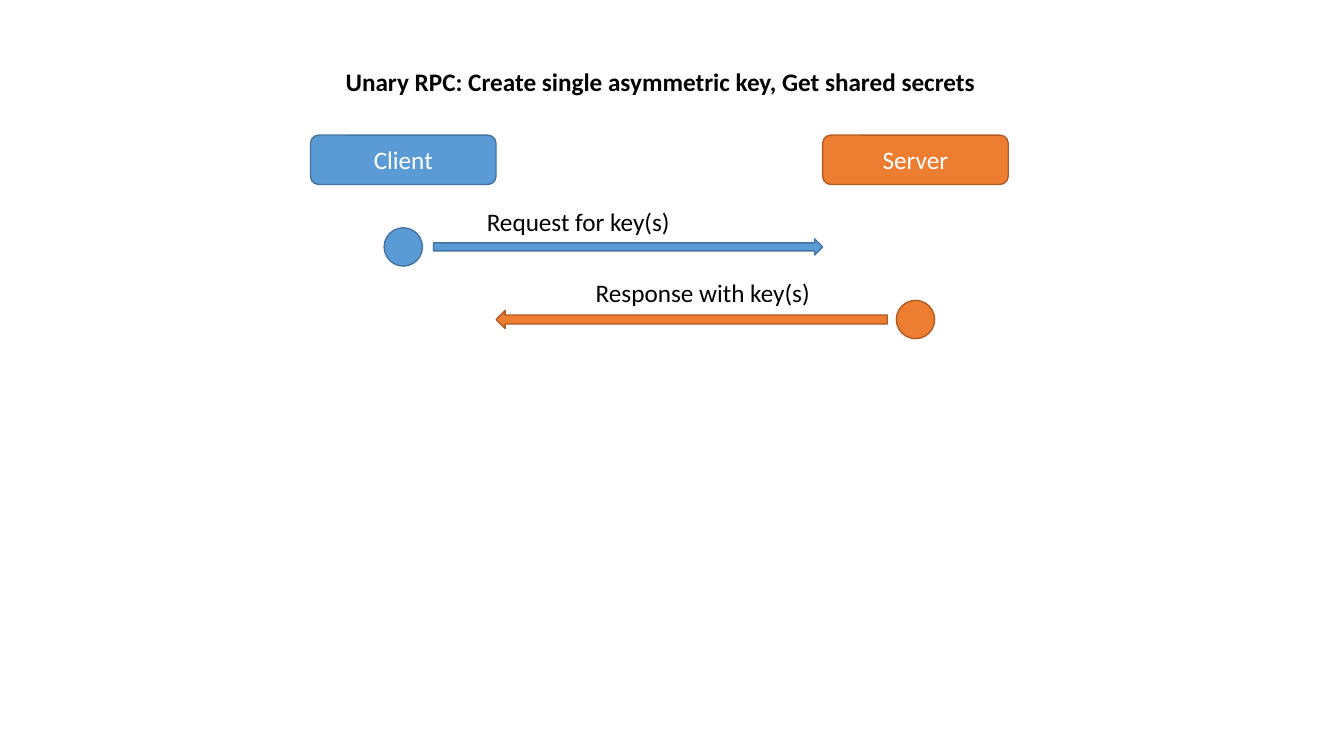
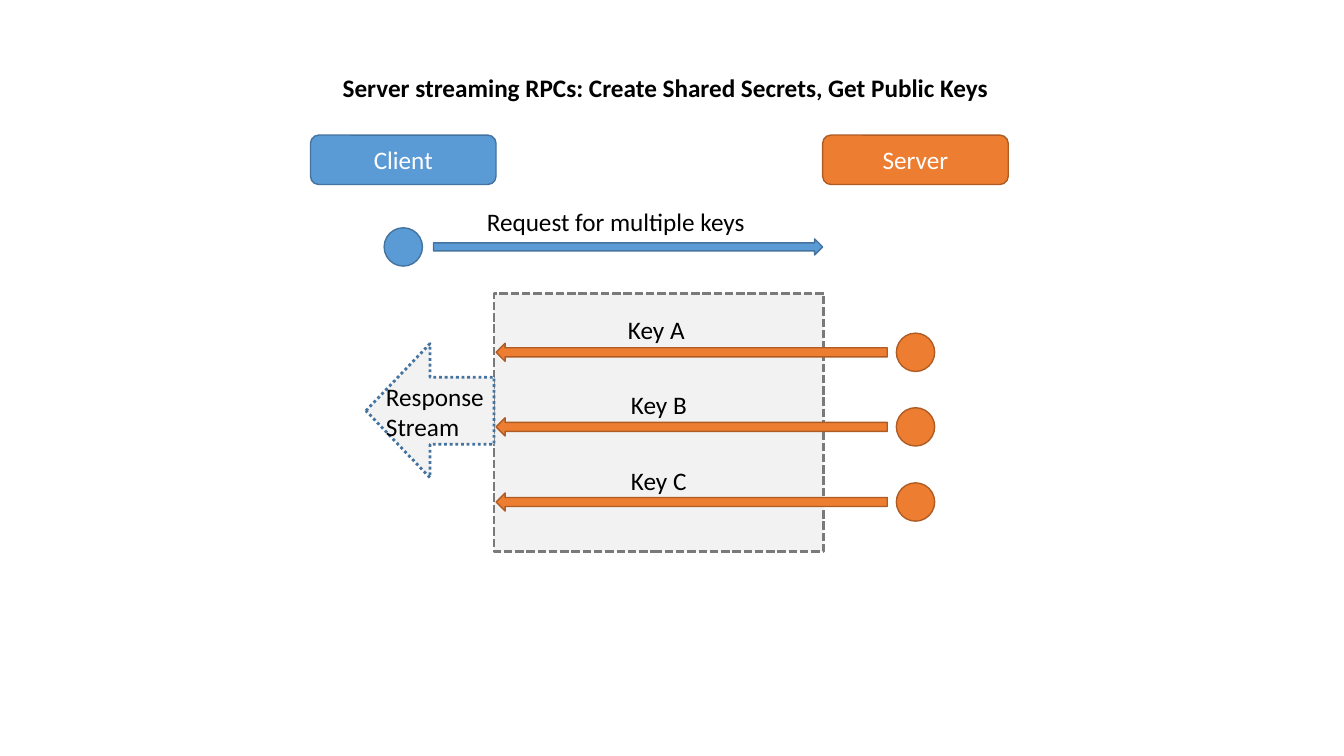
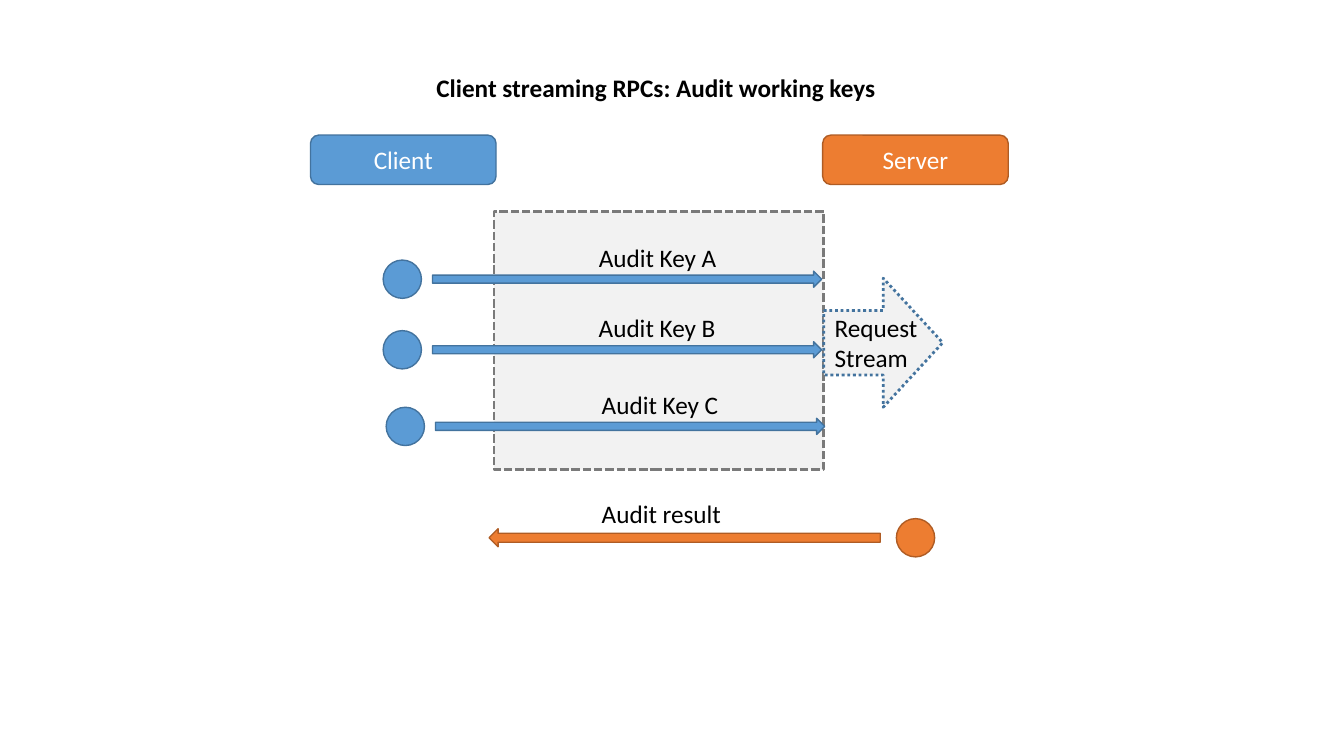
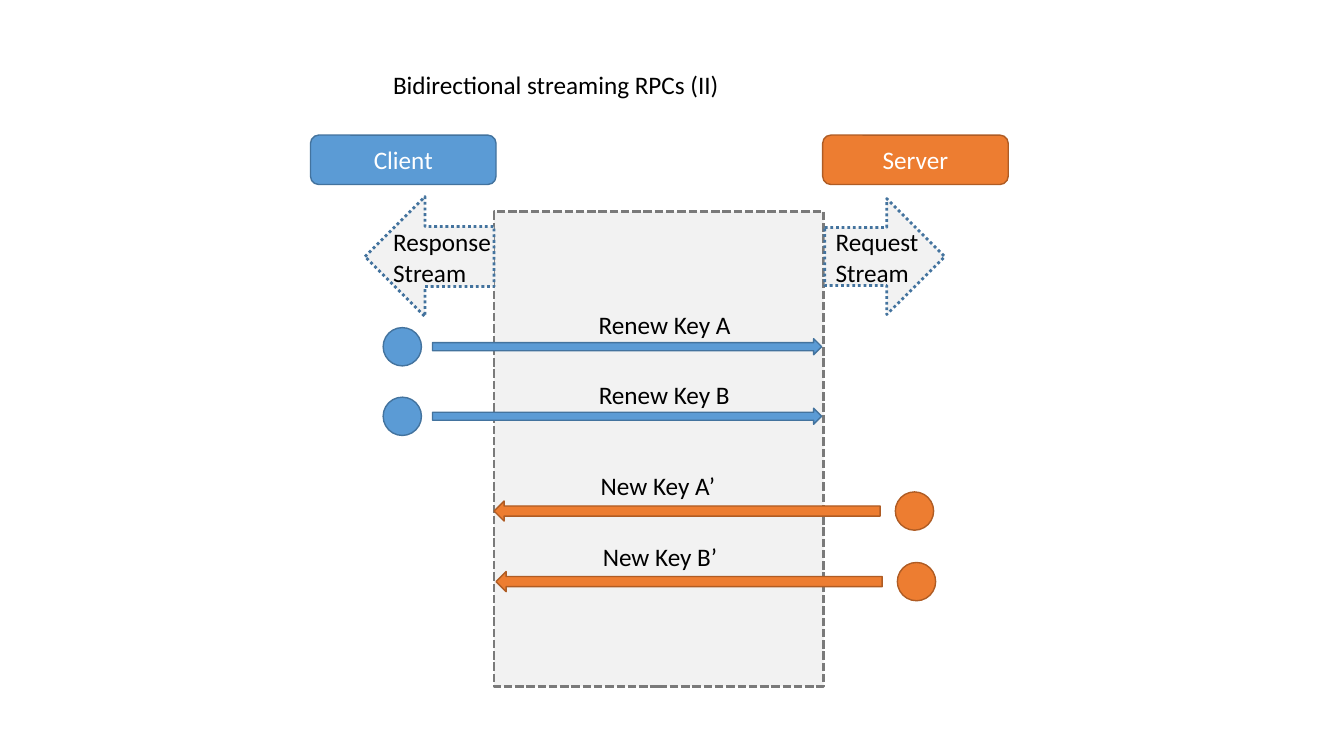
from dataclasses import dataclass
from typing import Optional

from pptx import Presentation
from pptx import util as u
from pptx.dml.color import RGBColor
from pptx.enum import dml, shapes, text

COLUMNS, ROWS = 133.3, 75
CELL = u.Inches(0.1)
FONT, FONT_SIZE = "Calibri", 18
BLACK, WHITE, PALE_GREY, GREY = "000000", "FFFFFF", "F2F2F2", "7A7A7A"
BLUE, DARK_BLUE, ORANGE, DARK_ORANGE = "5B9BD5", "43739E", "ED7D31", "AF5C24"
DOT_SIZE = 3.8
Kind = shapes.MSO_SHAPE
Dash = dml.MSO_LINE


@dataclass(frozen=True)
class Box:
    left: float
    top: float
    width: float
    height: float


@dataclass(frozen=True)
class Party:
    name: str
    left: float
    fill: str
    outline: str
    arrow: Kind


@dataclass(frozen=True)
class Route:
    sender: Party
    dot_left: float
    arrow_left: float
    length: float
    thickness: float


@dataclass(frozen=True)
class Label:
    wording: str
    left: float
    top: float
    width: float
    bold: bool = False


@dataclass(frozen=True)
class Message:
    route: Route
    middle: float
    caption: Label
    shift: float = 0


@dataclass(frozen=True)
class Stream:
    arrow: Kind
    box: Box
    caption: Label


@dataclass(frozen=True)
class Scene:
    title: Label
    messages: tuple[Message, ...]
    channel: Optional[Box] = None
    streams: tuple[Stream, ...] = ()


CLIENT = Party("Client", 30.8, BLUE, DARK_BLUE, Kind.RIGHT_ARROW)
SERVER = Party("Server", 81.6, ORANGE, DARK_ORANGE, Kind.LEFT_ARROW)
REQUEST = Route(CLIENT, 38.1, 43, 38.6, 1.6)
RESPONSE = Route(SERVER, 88.9, 49.2, 38.8, 1.8)
RESULT = Route(SERVER, 88.9, 48.5, 38.8, 1.8)
RENEWAL = Route(SERVER, 88.8, 49, 38.3, 2)

SCENES = (
    Scene(
        Label("Unary RPC: Create single asymmetric key, Get shared secrets", 33.3, 6.1, 65, True),
        (
            Message(REQUEST, 24.5, Label("Request for key(s)", 47.3, 20, 20.4)),
            Message(RESPONSE, 31.7, Label("Response with key(s)", 58.1, 27, 23.5)),
        ),
    ),
    Scene(
        Label("Server streaming RPCs: Create Shared Secrets, Get Public Keys", 33, 6.7, 66.6, True),
        (
            Message(REQUEST, 24.5, Label("Request for multiple keys", 47.3, 20, 27.9)),
            Message(RESPONSE, 34.95, Label("Key A", 61.3, 30.7, 7.7)),
            Message(RESPONSE, 42.35, Label("Key B", 61.6, 38.1, 7.6)),
            Message(RESPONSE, 49.8, Label("Key C", 61.6, 45.7, 7.6)),
        ),
        Box(49, 29.1, 32.7, 25.6),
        (
            Stream(Kind.LEFT_ARROW, Box(36.3, 34.1, 12.7, 13.3),
                   Label("Response\nStream", 37.3, 37.3, 11.8)),
        ),
    ),
    Scene(
        Label("Client streaming RPCs: Audit working keys", 42.3, 6.7, 45.9, True),
        (
            Message(REQUEST, 27.7, Label("Audit Key A", 58.4, 23.5, 13.8), -0.1),
            Message(REQUEST, 34.7, Label("Audit Key B", 58.4, 30.5, 13.7), -0.1),
            Message(REQUEST, 42.3, Label("Audit Key C", 58.7, 38.1, 13.7), 0.2),
            Message(RESULT, 53.35, Label("Audit result", 58.7, 48.9, 14)),
        ),
        Box(49, 21, 32.7, 25.6),
        (
            Stream(Kind.RIGHT_ARROW, Box(81.7, 27.6, 11.8, 12.8),
                   Label("Request\nStream", 81.8, 30.5, 10.3)),
        ),
    ),
    Scene(
        Label("Bidirectional streaming RPCs (II)", 38, 6.4, 34.7),
        (
            Message(REQUEST, 34.4, Label("Renew Key A", 58.4, 30.2, 15.3), -0.1),
            Message(REQUEST, 41.3, Label("Renew Key B", 58.4, 37.1, 15.2), -0.1),
            Message(RENEWAL, 50.7, Label("New Key A’", 58.6, 46.2, 13.5)),
            Message(RENEWAL, 57.7, Label("New Key B’", 58.8, 53.2, 13.5), 0.2),
        ),
        Box(49, 21, 32.7, 47.1),
        (
            Stream(Kind.RIGHT_ARROW, Box(81.8, 19.7, 11.9, 11.5),
                   Label("Request\nStream", 81.9, 22, 10.3)),
            Stream(Kind.LEFT_ARROW, Box(36.2, 19.5, 12.8, 11.9),
                   Label("Response\nStream", 38, 22, 11.8)),
        ),
    ),
)


def colour(value: str) -> RGBColor:
    return RGBColor.from_string(value)


def place(box: Box) -> tuple[int, ...]:
    return tuple(round(cells * CELL) for cells in (box.left, box.top, box.width, box.height))


def write(frame, wording: str, ink: str, bold: bool = False) -> None:
    frame.text = wording
    for paragraph in frame.paragraphs:
        paragraph.font.name = FONT
        paragraph.font.size = u.Pt(FONT_SIZE)
        paragraph.font.bold = bold
        paragraph.font.color.rgb = colour(ink)


def draw_shape(slide, kind: Kind, box: Box, fill: str, outline: str,
               weight: float = 1, dash: Optional[Dash] = None):
    shape = slide.shapes.add_shape(kind, *place(box))
    shape.shadow.inherit = False
    shape.fill.solid()
    shape.fill.fore_color.rgb = colour(fill)
    shape.line.color.rgb = colour(outline)
    shape.line.width = u.Pt(weight)
    if dash is not None:
        shape.line.dash_style = dash
    return shape


def draw_label(slide, label: Label) -> None:
    height = 7.1 if "\n" in label.wording else 4
    box = Box(label.left, label.top, label.width, height)
    frame = slide.shapes.add_textbox(*place(box)).text_frame
    frame.word_wrap = False
    frame.auto_size = text.MSO_AUTO_SIZE.SHAPE_TO_FIT_TEXT
    write(frame, label.wording, BLACK, label.bold)


def draw_party(slide, party: Party) -> None:
    header = draw_shape(slide, Kind.ROUNDED_RECTANGLE, Box(party.left, 13.4, 18.4, 4.9),
                        party.fill, party.outline)
    frame = header.text_frame
    frame.vertical_anchor = text.MSO_ANCHOR.MIDDLE
    write(frame, party.name, WHITE)
    frame.paragraphs[0].alignment = text.PP_ALIGN.CENTER


def draw_message(slide, message: Message) -> None:
    route = message.route
    sender = route.sender
    dot = Box(route.dot_left + message.shift, message.middle - DOT_SIZE / 2, DOT_SIZE, DOT_SIZE)
    arrow = Box(route.arrow_left + message.shift, message.middle - route.thickness / 2,
                route.length, route.thickness)
    draw_shape(slide, Kind.OVAL, dot, sender.fill, sender.outline)
    draw_shape(slide, sender.arrow, arrow, sender.fill, sender.outline)
    draw_label(slide, message.caption)


def draw_stream(slide, stream: Stream) -> None:
    draw_shape(slide, stream.arrow, stream.box, PALE_GREY, DARK_BLUE, 2, Dash.ROUND_DOT)
    draw_label(slide, stream.caption)


def draw_scene(slide, scene: Scene) -> None:
    if scene.channel:
        draw_shape(slide, Kind.RECTANGLE, scene.channel, PALE_GREY, GREY, 2, Dash.SQUARE_DOT)
    for party in (CLIENT, SERVER):
        draw_party(slide, party)
    draw_label(slide, scene.title)
    for message in scene.messages:
        draw_message(slide, message)
    for stream in scene.streams:
        draw_stream(slide, stream)


def main() -> None:
    deck = Presentation()
    deck.slide_width = round(COLUMNS * CELL)
    deck.slide_height = ROWS * CELL
    blank = deck.slide_layouts[6]
    for scene in SCENES:
        draw_scene(deck.slides.add_slide(blank), scene)
    deck.save("out.pptx")


main()
